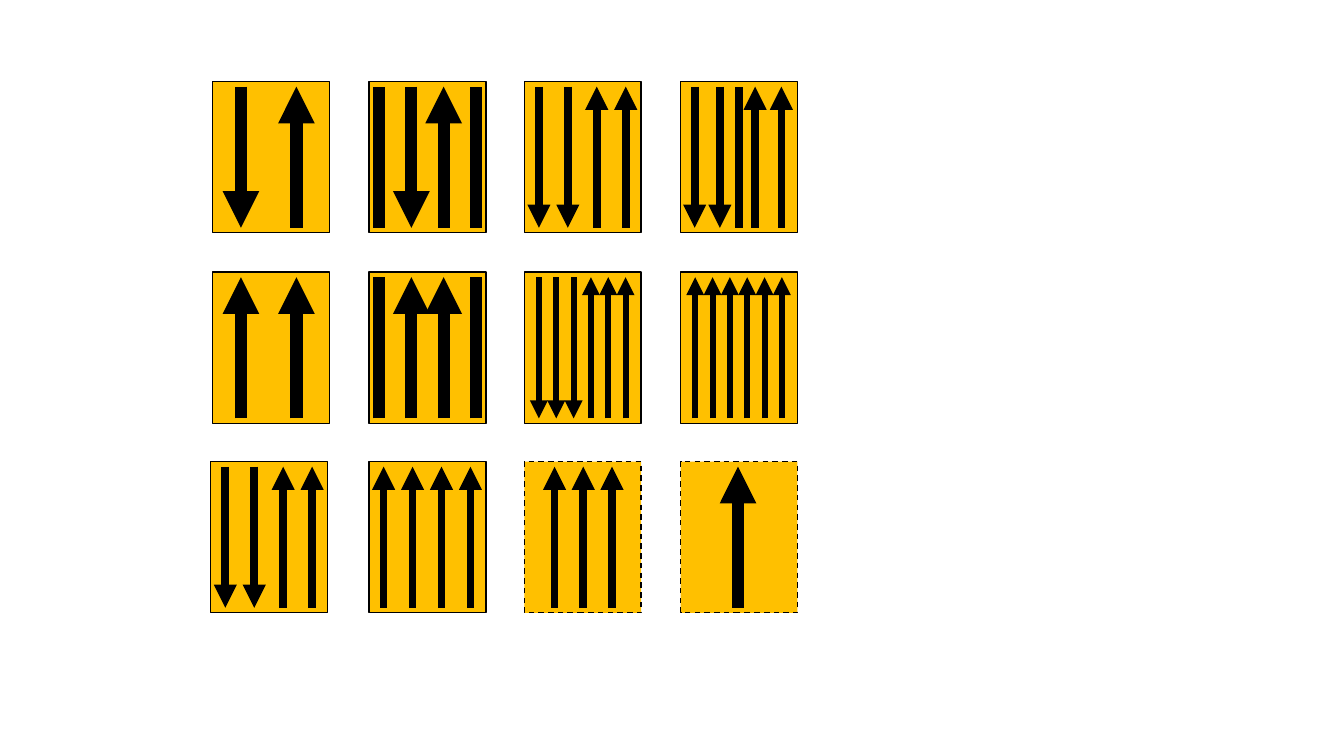
import pptx
import pptx.dml.color
import pptx.enum.dml
import pptx.enum.shapes
import pptx.oxml.ns
import pptx.util
from lxml import etree
from pptx.util import Inches

COLORS = {"sign": "FFC000", "ink": "000000"}
SIGN_WIDTH, SIGN_HEIGHT = 1.16, 1.5
LANE_MARGIN, LANE_LENGTH = 0.05, 1.4
COLUMNS = (2.11, 3.66, 5.2, 6.75)
ROWS = (0.81, 2.7, 4.58)
WIDE, MEDIUM, NARROW = 8.75, 5.5, 4.25


def color(name):
    """Return the named colour as an RGBColor."""
    return pptx.dml.color.RGBColor.from_string(COLORS[name])


def spaced(first, pitch, count):
    """Return evenly spaced lane offsets from the left edge of a sign."""
    return [first + pitch * index for index in range(count)]


PAIR = spaced(0.28, 0.55, 2)
EDGED = spaced(0.1, 0.32, 4)
THREE = spaced(0.3, 0.285, 3)
FOUR = spaced(0.145, 0.287, 4)
DIVIDED = (0.14, 0.39, 0.58, 0.74, 1.0)
SIX = spaced(0.145, 0.172, 6)

# Lanes: "v" runs down, "^" runs up, "|" is a bar without a head.
# Each sign: lanes, offsets, line width, dashed border, shift of the sign.
SIGNS = (
    (("v^", PAIR, WIDE, False, 0), ("|v^|", EDGED, WIDE, False, 0),
     ("vv^^", FOUR, MEDIUM, False, 0), ("vv|^^", DIVIDED, MEDIUM, False, 0)),
    (("^^", PAIR, WIDE, False, 0), ("|^^|", EDGED, WIDE, False, 0),
     ("vvv^^^", SIX, NARROW, False, 0), ("^^^^^^", SIX, NARROW, False, 0)),
    (("vv^^", FOUR, MEDIUM, False, -0.02), ("^^^^", FOUR, MEDIUM, False, 0),
     ("^^^", THREE, MEDIUM, True, 0), ("^", (0.57,), WIDE, True, 0)),
)


def add_panel(slide, left, top, dashed):
    """Add the yellow rectangle of a sign."""
    panel = slide.shapes.add_shape(
        pptx.enum.shapes.MSO_SHAPE.RECTANGLE, Inches(left), Inches(top),
        Inches(SIGN_WIDTH), Inches(SIGN_HEIGHT))
    panel.shadow.inherit = False
    panel.fill.solid()
    panel.fill.fore_color.rgb = color("sign")
    panel.line.color.rgb = color("ink")
    panel.line.width = pptx.util.Pt(1)
    if dashed:
        panel.line.dash_style = pptx.enum.dml.MSO_LINE.DASH


def add_lane(slide, x, top, direction, width):
    """Add one vertical lane, with an arrowhead unless it is a bar."""
    start, end = top + LANE_LENGTH, top
    if direction == "v":
        start, end = end, start
    lane = slide.shapes.add_connector(
        pptx.enum.shapes.MSO_CONNECTOR.STRAIGHT,
        Inches(x), Inches(start), Inches(x), Inches(end))
    lane.line.color.rgb = color("ink")
    lane.line.width = pptx.util.Pt(width)
    if direction != "|":
        etree.SubElement(lane.line._get_or_add_ln(),
                         pptx.oxml.ns.qn("a:tailEnd"), type="triangle")
    etree.SubElement(lane._element.spPr, pptx.oxml.ns.qn("a:effectLst"))


def add_sign(slide, left, top, lanes, offsets, width, dashed):
    """Add a panel and the lanes on it."""
    add_panel(slide, left, top, dashed)
    for direction, offset in zip(lanes, offsets):
        add_lane(slide, left + offset, top + LANE_MARGIN, direction, width)


def main():
    """Build the slide with its grid of lane signs."""
    presentation = pptx.Presentation()
    presentation.slide_width = Inches(13.33)
    presentation.slide_height = Inches(7.5)
    slide = presentation.slides.add_slide(presentation.slide_layouts[6])
    for top, row in zip(ROWS, SIGNS):
        for left, (lanes, offsets, width, dashed, shift) in zip(COLUMNS, row):
            add_sign(slide, left + shift, top, lanes, offsets, width, dashed)
    presentation.save("out.pptx")


main()
